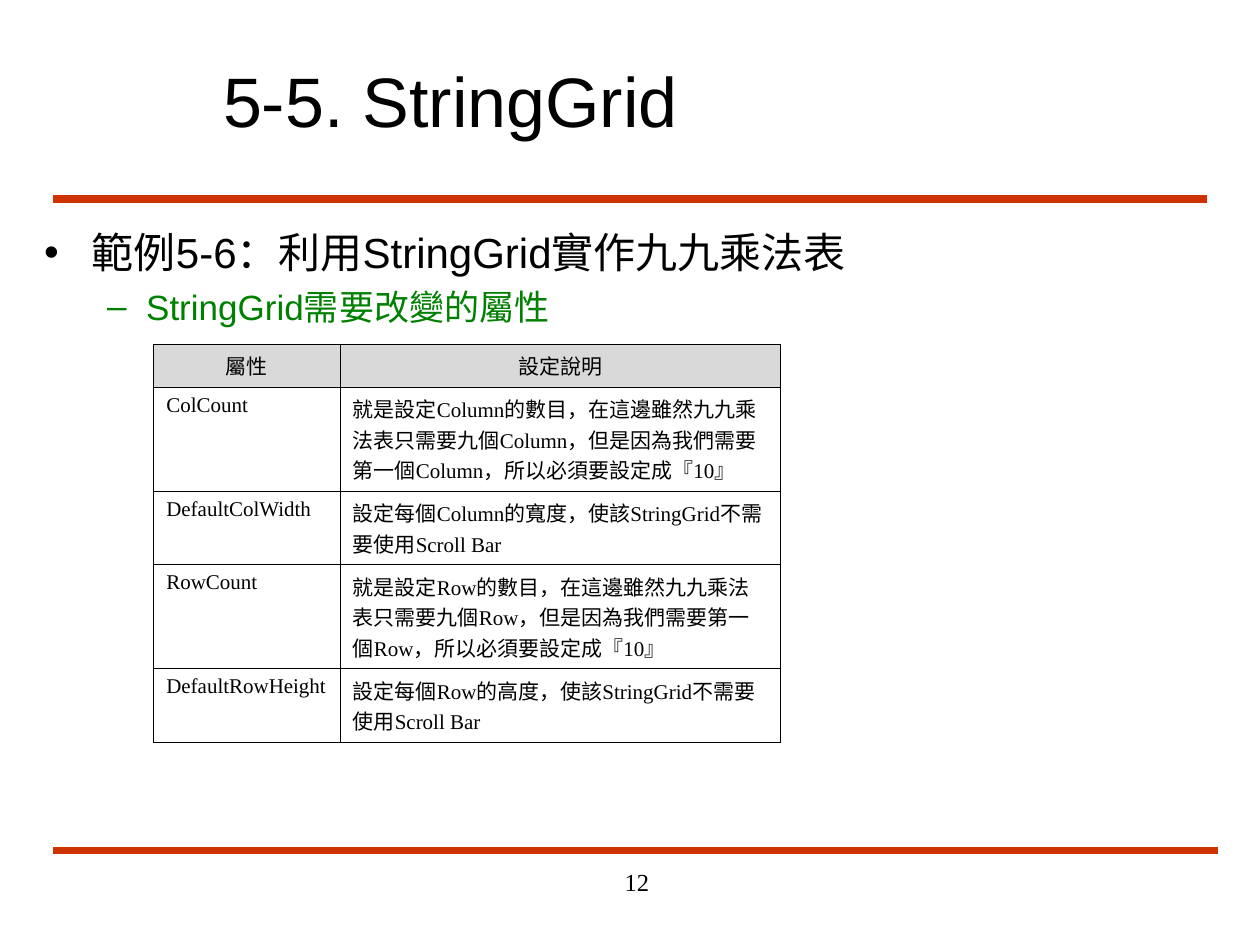
import pptx
import pptx.util
import pptx.dml.color
import pptx.enum.shapes
import pptx.enum.text
import pptx.oxml
import pptx.oxml.ns
import lxml.etree

Inches, Pt = pptx.util.Inches, pptx.util.Pt
RGBColor = pptx.dml.color.RGBColor
Align = pptx.enum.text.PP_ALIGN
Anchor = pptx.enum.text.MSO_ANCHOR
qn = pptx.oxml.ns.qn

BLACK = RGBColor(0x00, 0x00, 0x00)
GREEN = RGBColor(0x00, 0x80, 0x00)
RED = RGBColor(0xCC, 0x33, 0x00)
GRAY = RGBColor(0xD9, 0xD9, 0xD9)
HEADING_FONT, TEXT_FONT = "Arial", "Times New Roman"

TOPICS = [  # text, level, size, colour, bullet, left margin, hanging, space before
    ("範例5-6：利用StringGrid實作九九乘法表", 0, 24, BLACK, "•", 0.38, 0.38, 6),
    ("StringGrid需要改變的屬性", 1, 20, GREEN, "–", 0.81, 0.31, 5),
]
COUNT_NOTE = ("就是設定{0}的數目，在這邊雖然九九乘法表只需要九個{0}，"
              "但是因為我們需要第一個{0}，所以必須要設定成『10』")
SIZE_NOTE = "設定每個{}的{}度，使該StringGrid不需要使用Scroll Bar"
PROPERTIES = [
    ("屬性", "設定說明"),
    ("ColCount", COUNT_NOTE.format("Column")),
    ("DefaultColWidth", SIZE_NOTE.format("Column", "寬")),
    ("RowCount", COUNT_NOTE.format("Row")),
    ("DefaultRowHeight", SIZE_NOTE.format("Row", "高")),
]
COLUMN_WIDTHS = [1.48, 3.49]
ROW_HEIGHTS = [0.34, 0.82, 0.58, 0.82, 0.58]


def format_paragraph(paragraph, size, font, color=BLACK, align=Align.LEFT):
    paragraph.alignment = align
    for run in paragraph.runs:
        run.font.size = Pt(size)
        run.font.name = font
        run.font.color.rgb = color


def place(shape, left, top, width, height):
    shape.left, shape.top = Inches(left), Inches(top)
    shape.width, shape.height = Inches(width), Inches(height)
    shape.text_frame.word_wrap = True
    shape.text_frame.auto_size = pptx.enum.text.MSO_AUTO_SIZE.NONE


def add_rule(slide, left, top, width):
    rule = slide.shapes.add_connector(
        pptx.enum.shapes.MSO_CONNECTOR.STRAIGHT,
        Inches(left), Inches(top), Inches(left + width), Inches(top))
    rule.line.color.rgb = RED
    rule.line.width = Pt(4.5)
    lxml.etree.SubElement(rule._element.spPr, qn("a:effectLst"))


def fill_title(slide, left, top, width, height):
    title = slide.shapes.title
    place(title, left, top, width, height)
    title.text_frame.text = "5-5. StringGrid"
    title.text_frame.vertical_anchor = Anchor.MIDDLE
    format_paragraph(title.text_frame.paragraphs[0], 40, HEADING_FONT)


def fill_topics(slide, left, top, width, height):
    body = slide.placeholders[1]
    place(body, left, top, width, height)
    frame = body.text_frame
    for index, (text, level, size, color, bullet, margin, hanging, space) in enumerate(TOPICS):
        topic = frame.paragraphs[0] if index == 0 else frame.add_paragraph()
        topic.text = text
        topic.level = level
        topic.space_before = Pt(space)
        format_paragraph(topic, size, HEADING_FONT, color)
        # Bullet and hanging indent
        props = topic._p.get_or_add_pPr()
        props.set("marL", str(Inches(margin)))
        props.set("indent", str(-Inches(hanging)))
        bullet_font = lxml.etree.SubElement(props, qn("a:buFont"))
        bullet_font.set("typeface", HEADING_FONT)
        lxml.etree.SubElement(props, qn("a:buChar")).set("char", bullet)


def set_borders(cell):
    props = cell._tc.get_or_add_tcPr()
    for index, side in enumerate(("lnL", "lnR", "lnT", "lnB")):
        props.insert(index, pptx.oxml.parse_xml(
            f'<a:{side} {pptx.oxml.ns.nsdecls("a")} w="{Pt(0.45)}"><a:solidFill>'
            f'<a:srgbClr val="{BLACK}"/></a:solidFill></a:{side}>'))


def add_property_table(slide, left, top):
    properties = slide.shapes.add_table(
        len(PROPERTIES), len(COLUMN_WIDTHS), Inches(left), Inches(top),
        Inches(sum(COLUMN_WIDTHS)), Inches(sum(ROW_HEIGHTS))).table
    properties.first_row = properties.horz_banding = False
    for column, width in zip(properties.columns, COLUMN_WIDTHS):
        column.width = Inches(width)
    for row_index, (row, height) in enumerate(zip(properties.rows, ROW_HEIGHTS)):
        row.height = Inches(height)
        for cell, text in zip(row.cells, PROPERTIES[row_index]):
            cell.text_frame.text = text
            is_header = row_index == 0
            format_paragraph(cell.text_frame.paragraphs[0], 12, TEXT_FONT,
                             align=Align.CENTER if is_header else Align.LEFT)
            if is_header:
                cell.fill.solid()
                cell.fill.fore_color.rgb = GRAY
            else:
                cell.fill.background()
            set_borders(cell)


def add_page_number(slide, left, top, width, height):
    number = slide.shapes.add_textbox(0, 0, 0, 0)
    place(number, left, top, width, height)
    number.text_frame.text = "12"
    format_paragraph(number.text_frame.paragraphs[0], 14, TEXT_FONT, align=Align.RIGHT)


deck = pptx.Presentation()
deck.slide_width, deck.slide_height = Inches(10), Inches(7.5)
slide = deck.slides.add_slide(deck.slide_layouts[1])

# Rules under the title and above the footer
add_rule(slide, 0.42, 1.58, 9.16)
add_rule(slide, 0.42, 6.75, 9.25)

# Title, topics, table and footer
fill_title(slide, 1.67, 0.33, 7.58, 0.92)
fill_topics(slide, 0.25, 1.75, 9.5, 4.83)
add_property_table(slide, 1.22, 2.73)
add_page_number(slide, 3.17, 6.83, 2.08, 0.5)

deck.save("out.pptx")
